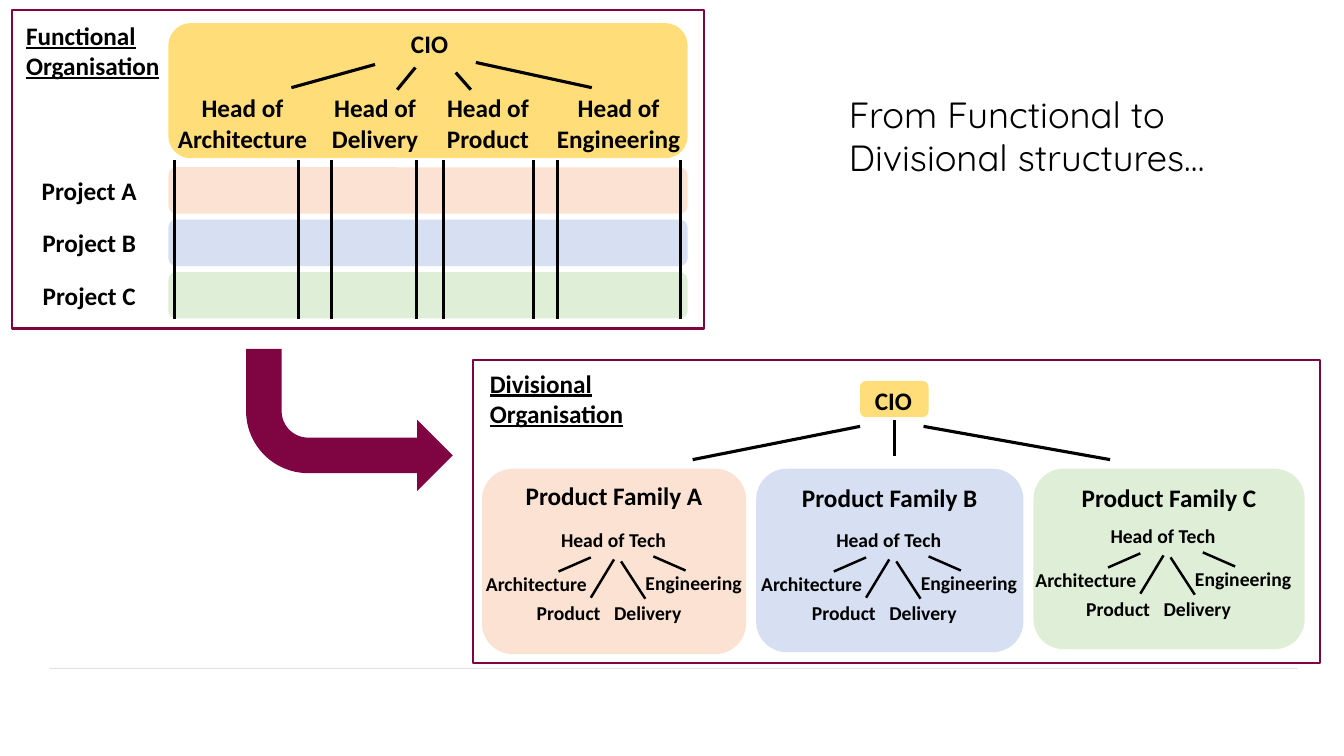
from dataclasses import dataclass

from lxml.etree import SubElement
from pptx import Presentation
from pptx.dml.color import RGBColor
from pptx.enum.shapes import MSO_CONNECTOR, MSO_SHAPE
from pptx.enum.text import MSO_ANCHOR, MSO_AUTO_SIZE, PP_ALIGN
from pptx.oxml.ns import qn
from pptx.util import Inches, Pt


@dataclass(frozen=True)
class Theme:
    ink: str = "000000"
    paper: str = "FFFFFF"
    rule: str = "404040"
    accent: str = "7F0442"
    chief: str = "FFC000"
    streams: tuple = ("F4B183", "8FAADC", "A9D18E")
    stream_opacity: int = 36
    chief_opacity: int = 52
    body_font: str = "Calibri"
    title_font: str = "Quicksand"
    title_size: int = 26
    label_size: int = 18
    small_size: int = 14
    branch_width: float = 2.25
    twig_width: float = 1.75
    frame_width: float = 1.5
    rule_width: float = 0.25


THEME = Theme()
STREAM_LETTERS = "ABC"


def grid(cells):
    """Length of a number of grid cells, ten to the inch."""
    return Inches(cells / 10)


@dataclass
class Region:
    """A box on the slide grid; its parts are placed from its top left corner."""
    slide: object
    left: float
    top: float
    width: float
    height: float

    def inner(self, left, top, width, height):
        return Region(self.slide, self.left + left, self.top + top, width, height)

    def bounds(self):
        return [grid(cells) for cells in (self.left, self.top, self.width, self.height)]

    def shape(self, kind, color=None, opacity=100):
        shape = self.slide.shapes.add_shape(kind, *self.bounds())
        shape.shadow.inherit = False
        shape.line.fill.background()
        if color:
            fill_solid(shape, color, opacity)
        else:
            shape.fill.background()
        return shape

    def frame(self):
        outline = self.shape(MSO_SHAPE.RECTANGLE).line
        outline.color.rgb = RGBColor.from_string(THEME.accent)
        outline.width = Pt(THEME.frame_width)

    def text(self, words, size=THEME.label_size, align=PP_ALIGN.CENTER, underline=None):
        text_frame = self.slide.shapes.add_textbox(*self.bounds()).text_frame
        text_frame.word_wrap = True
        paragraph = text_frame.paragraphs[0]
        paragraph.alignment = align
        paragraph.add_run().text = words
        format_font(paragraph.runs[0].font, size=Pt(size), bold=True, underline=underline)

    def line(self, start_x, start_y, end_x, end_y, width=THEME.branch_width,
             color=THEME.ink, opacity=100):
        connector = self.slide.shapes.add_connector(
            MSO_CONNECTOR.STRAIGHT,
            grid(self.left + start_x), grid(self.top + start_y),
            grid(self.left + end_x), grid(self.top + end_y))
        connector.line.color.rgb = RGBColor.from_string(color)
        connector.line.width = Pt(width)
        set_opacity(connector, opacity)
        SubElement(connector.element.spPr, qn("a:effectLst"))


def set_opacity(shape, percent):
    if percent < 100:
        for color in shape.element.spPr.iter(qn("a:srgbClr")):
            SubElement(color, qn("a:alpha")).set("val", str(percent * 1000))


def fill_solid(shape, color, opacity=100):
    shape.fill.solid()
    shape.fill.fore_color.rgb = RGBColor.from_string(color)
    set_opacity(shape, opacity)


def format_font(font, **values):
    for name, value in {"name": THEME.body_font, **values}.items():
        setattr(font, name, value)
    font.color.rgb = RGBColor.from_string(THEME.ink)


def add_title(region):
    title = region.slide.shapes.title
    for name, value in zip(("left", "top", "width", "height"), region.bounds()):
        setattr(title, name, value)
    fill_solid(title, THEME.paper, 75)
    text_frame = title.text_frame
    text_frame.text = "From Functional to Divisional structures…"
    settings = {"word_wrap": True, "auto_size": MSO_AUTO_SIZE.NONE,
                "vertical_anchor": MSO_ANCHOR.TOP}
    settings |= {f"margin_{side}": grid(1.2) for side in ("left", "top", "right", "bottom")}
    for name, value in settings.items():
        setattr(text_frame, name, value)
    paragraph = text_frame.paragraphs[0]
    paragraph.alignment = PP_ALIGN.LEFT
    format_font(paragraph.runs[0].font, name=THEME.title_font, size=Pt(THEME.title_size))


def add_functional_panel(region):
    """Heads of function as columns that cut across the project bands."""
    region.frame()
    region.inner(0.4, 0.5, 21.2, 7.1).text(
        "Functional Organisation", align=PP_ALIGN.LEFT, underline=True)

    band_left, band_width = 15.5, 51.5
    for row, (letter, color) in enumerate(zip(STREAM_LETTERS, THEME.streams)):
        band_top = 15.6 + 5.2 * row
        region.inner(band_left, band_top, band_width, 4.6).shape(
            MSO_SHAPE.ROUNDED_RECTANGLE, color, THEME.stream_opacity)
        region.inner(0, band_top + 0.3, 15.3, 4).text(f"Project {letter}")

    region.inner(band_left, 1.3, band_width, 13.4).shape(
        MSO_SHAPE.ROUNDED_RECTANGLE, THEME.chief, THEME.chief_opacity)
    region.inner(35.2, 1.3, 12.4, 4).text("CIO")
    for branch in ((36, 5.4, 27.7, 7.7), (40, 5.7, 38.2, 7.9),
                   (44, 6.2, 45.5, 7.9), (46, 5.2, 57.5, 7.7)):
        region.line(*branch)

    heads = (("Architecture", 15.2, 15.3, (16.1, 28.4)),
             ("Delivery", 30.2, 11.6, (31.7, 40.1)),
             ("Product", 41.4, 11.6, (42.8, 51.7)),
             ("Engineering", 52.7, 14.9, (54.1, 66.3)))
    for role, left, width, column_edges in heads:
        region.inner(left, 7.7, width, 7.1).text(f"Head of {role}")
        for edge in column_edges:
            region.line(edge, 14.9, edge, 30.6)


def add_tech_tree(region):
    for words, left, top, width in (("Head of Tech", 6.2, 0, 15.3),
                                    ("Architecture", 0, 4.35, 12.4),
                                    ("Product", 5.2, 7.25, 8.4),
                                    ("Delivery", 12.7, 7.25, 9.1),
                                    ("Engineering", 15.6, 4.25, 12.4)):
        region.inner(left, top, width, 3.4).text(words, THEME.small_size)
    for twig in ((11.6, 3.4, 8.4, 4.8), (13.9, 3.6, 11.6, 7.4),
                 (14.6, 3.8, 17, 7.5), (17.8, 3.3, 21, 4.7)):
        region.line(*twig, width=THEME.twig_width)


def add_divisional_panel(region):
    """One product family per division, each with its own tech tree."""
    region.frame()
    region.inner(0.7, 0.3, 16.5, 7.1).text(
        "Divisional Organisation", align=PP_ALIGN.LEFT, underline=True)
    region.inner(38.4, 2.1, 6.8, 3.6).shape(
        MSO_SHAPE.ROUNDED_RECTANGLE, THEME.chief, THEME.chief_opacity)
    region.inner(35.5, 2, 12.4, 4).text("CIO")
    for branch in ((38.4, 6.6, 21.8, 9.9), (41.8, 6, 41.8, 9.5), (44.7, 6.6, 63.2, 9.9)):
        region.line(*branch)

    families = ((0.9, 26.2, 18.4, 0.7, -0.8, 5.4),
                (28.1, 26.5, 18.2, 0.9, -0.7, 5.4),
                (55.6, 26.9, 17.9, 0.9, -1, 5))
    for letter, color, family in zip(STREAM_LETTERS, THEME.streams, families):
        left, width, height, name_top, tree_left, tree_top = family
        card = region.inner(left, 10.8, width, height)
        card.shape(MSO_SHAPE.ROUNDED_RECTANGLE, color, THEME.stream_opacity)
        card.inner(0, name_top, width, 4).text(f"Product Family {letter}")
        add_tech_tree(card.inner(tree_left, tree_top, 28, 10.7))


def add_transition_arrow(region):
    arrow = region.shape(MSO_SHAPE.BENT_ARROW, THEME.accent)
    arrow.rotation = 180
    arrow.element.spPr.find(qn("a:xfrm")).set("flipH", "1")


def main():
    presentation = Presentation()
    presentation.slide_width, presentation.slide_height = Inches(13.33), Inches(7.5)
    slide = presentation.slides.add_slide(presentation.slide_layouts[5])
    Region(slide, 4.9, 66.3, 123.8, 0).line(
        0, 0, 123.8, 0, width=THEME.rule_width, color=THEME.rule, opacity=44)
    add_functional_panel(Region(slide, 1.2, 1, 68.6, 31.6))
    add_divisional_panel(Region(slide, 46.9, 35.7, 84, 30.1))
    add_transition_arrow(Region(slide, 24.4, 34.6, 20.5, 14.1))
    add_title(Region(slide, 83, 7.9, 38.7, 11.1))
    presentation.save("out.pptx")


if __name__ == "__main__":
    main()
